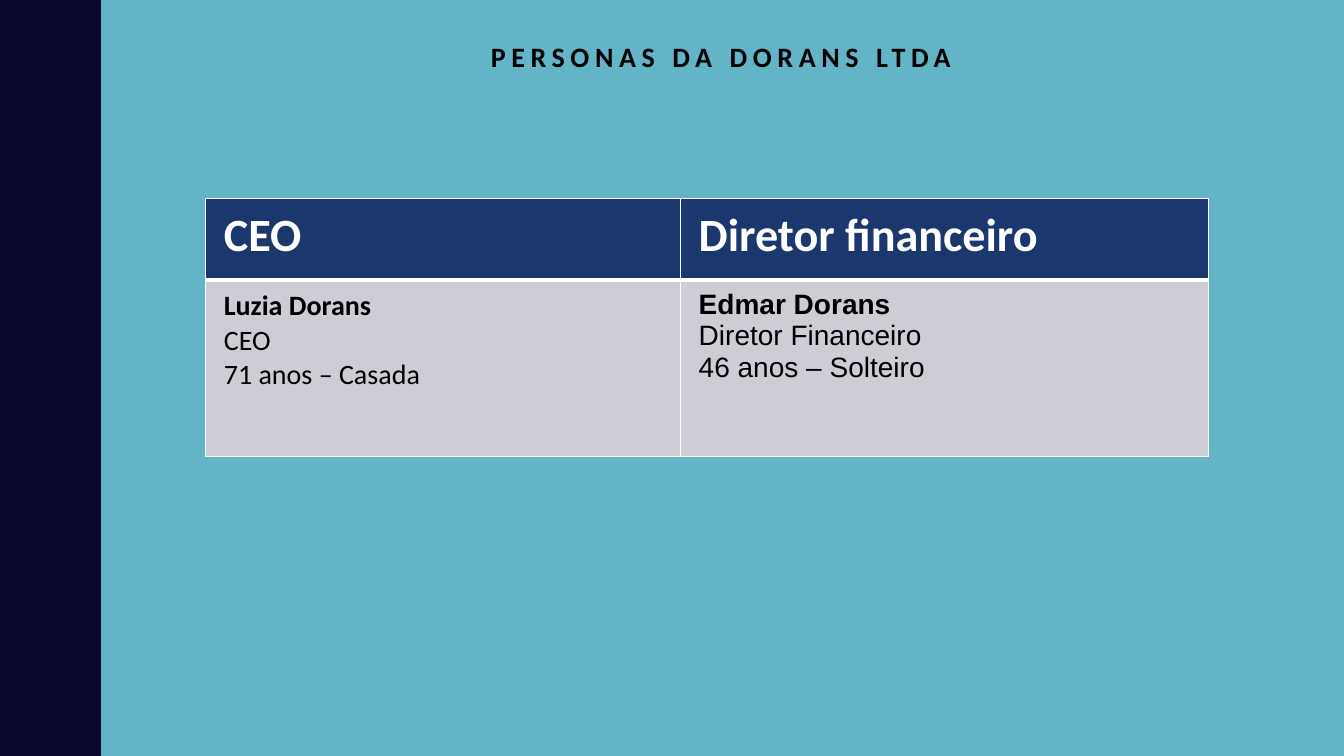
from pptx import Presentation
from pptx.dml.color import RGBColor
from pptx.enum.text import MSO_ANCHOR, PP_ALIGN
from pptx.oxml import parse_xml
from pptx.oxml.ns import nsdecls
from pptx.util import Inches, Pt

# Content
TITLE = "PERSONAS DA DORANS LTDA"
PERSONAS = [
    {"role": "CEO", "name": "Luzia Dorans",
     "details": ["CEO", "71 anos – Casada"], "font": "Calibri", "width": 4.71},
    {"role": "Diretor financeiro", "name": "Edmar Dorans",
     "details": ["Diretor Financeiro", "46 anos – Solteiro"], "font": "Arial", "width": 5.24},
]
COLORS = {"background": "62B4C6", "wave": "0B082E", "header": "1B376E",
          "body": "CDCED5", "white": "FFFFFF", "black": "000000"}
ROW_HEIGHTS = [0.81, 1.75]

# Half of one wave, from trough to crest: (offset from trough, distance down)
WAVE_HALF = [(0, 0), (0, 0.07), (0.01, 0.14), (0.02, 0.2), (0.03, 0.25),
             (0.05, 0.29), (0.07, 0.33), (0.09, 0.38), (0.11, 0.42), (0.13, 0.46),
             (0.15, 0.5), (0.17, 0.55), (0.18, 0.61), (0.19, 0.68), (0.19, 0.75)]
WAVE_LEFT, WAVE_LENGTH, WAVE_COUNT = 0.78, 1.5, 5


def color(name):
    return RGBColor.from_string(COLORS[name])


def add_span(para, text, size, font, tone, bold):
    span = para.add_run()
    span.text = text
    span.font.size = Pt(size)
    span.font.name = font
    span.font.bold = bold
    span.font.color.rgb = color(tone)
    return span


def style_cell(cell, fill, top, bottom):
    cell.margin_left = cell.margin_right = Inches(0.18)
    cell.margin_top = cell.margin_bottom = Inches(0.09)
    properties = cell._tc.get_or_add_tcPr()
    for side, width in (("L", 1), ("R", 1), ("T", top), ("B", bottom)):
        properties.append(parse_xml(
            f'<a:ln{side} {nsdecls("a")} w="{Pt(width)}"><a:solidFill>'
            f'<a:srgbClr val="{COLORS["white"]}"/></a:solidFill></a:ln{side}>'))
    cell.fill.solid()
    cell.fill.fore_color.rgb = color(fill)


def add_title(page):
    box = page.shapes.title
    box.left, box.top = Inches(1.53), Inches(0.34)
    box.width, box.height = Inches(11.24), Inches(0.43)
    frame = box.text_frame
    frame.vertical_anchor = MSO_ANCHOR.MIDDLE
    frame.margin_top = frame.margin_bottom = 0
    para = frame.paragraphs[0]
    para.alignment = PP_ALIGN.CENTER
    span = add_span(para, TITLE, 20, "Calibri", "black", True)
    span.font._element.set("spc", "400")


def add_wave(page):
    period = WAVE_HALF + [(x, WAVE_LENGTH - y) for x, y in WAVE_HALF[-2::-1]]
    edge = [(WAVE_LEFT + x, number * WAVE_LENGTH + y)
            for number in range(WAVE_COUNT) for x, y in period]
    outline = edge + [(0, WAVE_COUNT * WAVE_LENGTH)]
    builder = page.shapes.build_freeform(0, 0, scale=Inches(1))
    builder.add_line_segments(outline, close=True)
    wave = builder.convert_to_shape()
    wave.shadow.inherit = False
    wave.fill.solid()
    wave.fill.fore_color.rgb = color("wave")
    wave.line.fill.background()


def add_personas(page):
    width = sum(persona["width"] for persona in PERSONAS)
    table = page.shapes.add_table(
        len(ROW_HEIGHTS), len(PERSONAS), Inches(2.04), Inches(1.97),
        Inches(width), Inches(sum(ROW_HEIGHTS))).table
    for row, height in zip(table.rows, ROW_HEIGHTS):
        row.height = Inches(height)
    for index, persona in enumerate(PERSONAS):
        table.columns[index].width = Inches(persona["width"])
        header, body = table.cell(0, index), table.cell(1, index)
        style_cell(header, "header", 1, 3)
        style_cell(body, "body", 3, 1)
        add_span(header.text_frame.paragraphs[0], persona["role"],
                 33, "Calibri", "white", True)
        para = body.text_frame.paragraphs[0]
        add_span(para, persona["name"], 20, persona["font"], "black", True)
        for detail in persona["details"]:
            para.add_line_break()
            add_span(para, detail, 20, persona["font"], "black", False)


def main():
    deck = Presentation()
    deck.slide_width, deck.slide_height = Inches(13.33), Inches(7.5)
    page = deck.slides.add_slide(deck.slide_layouts[5])
    page.background.fill.solid()
    page.background.fill.fore_color.rgb = color("background")
    add_title(page)
    add_wave(page)
    add_personas(page)
    deck.save("out.pptx")


if __name__ == "__main__":
    main()
